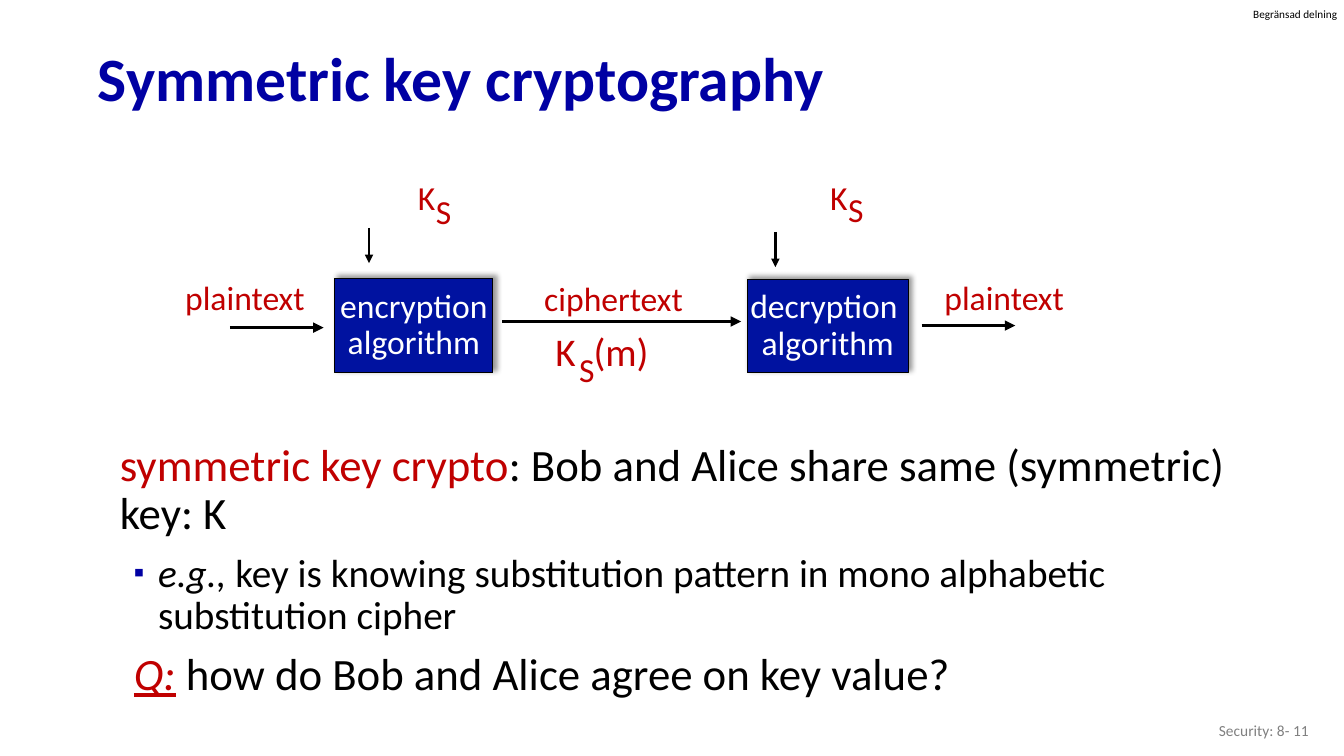
from lxml import etree
from pptx import Presentation
from pptx.dml.color import RGBColor
from pptx.enum.shapes import MSO_CONNECTOR, MSO_SHAPE
from pptx.enum.text import MSO_ANCHOR, PP_ALIGN
from pptx.oxml.ns import qn
from pptx.util import Inches, Pt

LEFT, CENTER, RIGHT = PP_ALIGN.LEFT, PP_ALIGN.CENTER, PP_ALIGN.RIGHT
TOP, MIDDLE = MSO_ANCHOR.TOP, MSO_ANCHOR.MIDDLE
RECT, STRAIGHT = MSO_SHAPE.RECTANGLE, MSO_CONNECTOR.STRAIGHT
FONT = "Calibri"
COLORS = {"title": "0000A3", "red": "C00000", "box": "0012A0",
          "black": "000000", "white": "FFFFFF", "gray": "808080"}


def rgb(name):
    """Return the named palette colour."""
    return RGBColor.from_string(COLORS[name])


def sub(parent, tag, **attrs):
    """Append a DrawingML element with the given attributes."""
    return etree.SubElement(parent, qn(tag), {k: str(v) for k, v in attrs.items()})


def add_run(p, text, size, color, bold=False, italic=False, underline=False):
    """Add one formatted run to a paragraph."""
    r = p.add_run()
    r.text = text
    font = r.font
    font.name, font.size = FONT, Pt(size)
    font.bold, font.italic, font.underline = bold, italic, underline
    font.color.rgb = rgb(color)


def set_margins(tf, margin):
    """Give a text frame the same inset on every side."""
    tf.margin_left = tf.margin_right = tf.margin_top = tf.margin_bottom = Inches(margin)


def add_label(s, box, text, size=24, color="red", align=CENTER, anchor=TOP, filled=False):
    """Place a one-line label in the given box."""
    sp = s.shapes.add_textbox(*map(Inches, box))
    if filled:
        sp.fill.solid()
        sp.fill.fore_color.rgb = rgb("white")
    tf = sp.text_frame
    tf.word_wrap = False
    tf.vertical_anchor = anchor
    p = tf.paragraphs[0]
    p.alignment = align
    add_run(p, text, size, color)
    return sp


def add_key(s, left, top, drop):
    """Place the key symbol K with its lowered S."""
    add_label(s, (left, top, 0.38, 0.51), "K", filled=True)
    add_label(s, (left + 0.18, top + drop, 0.36, 0.51), "S")


def add_algorithm(s, box, lines):
    """Place a shadowed algorithm box with its lines of text."""
    sp = s.shapes.add_shape(RECT, *map(Inches, box))
    sp.fill.solid()
    sp.fill.fore_color.rgb = rgb("box")
    sp.line.color.rgb = rgb("black")
    sp.line.width = Pt(0.75)
    sp.shadow.inherit = False
    effects = sp._element.spPr.find(qn("a:effectLst"))
    shadow = sub(effects, "a:outerShdw", blurRad=Pt(4), dist=Pt(3), dir=315 * 60000,
                 algn="bl", rotWithShape=0)
    sub(sub(shadow, "a:srgbClr", val=COLORS["black"]), "a:alpha", val=40000)
    tf = sp.text_frame
    tf.word_wrap = False
    tf.vertical_anchor = MIDDLE
    set_margins(tf, 0)
    for i, line in enumerate(lines):
        p = tf.add_paragraph() if i else tf.paragraphs[0]
        p.alignment = CENTER
        p.line_spacing = 0.9
        add_run(p, line, 24, "white")


def add_arrow(s, x, y, dx, dy, width):
    """Draw an arrow from a point along the given offset."""
    cx = s.shapes.add_connector(STRAIGHT, *map(Inches, (x, y, x + dx, y + dy)))
    cx.line.color.rgb = rgb("black")
    cx.line.width = Pt(width)
    sub(cx.line._get_or_add_ln(), "a:tailEnd", type="triangle")
    sub(cx._element.spPr, "a:effectLst")


def add_title(s, box):
    """Place and format the slide title."""
    sp = s.shapes.title
    sp.left, sp.top, sp.width, sp.height = map(Inches, box)
    tf = sp.text_frame
    tf.vertical_anchor = MIDDLE
    p = tf.paragraphs[0]
    p.alignment = LEFT
    p.line_spacing = 0.9
    add_run(p, "Symmetric key cryptography", 44, "title", bold=True)


def add_diagram(s, left, top):
    """Draw the flow from plaintext through ciphertext and back."""
    for dx in (0, 7.53):
        add_label(s, (left + dx, top + 0.99, 1.4, 0.51), "plaintext", filled=True)
    add_key(s, left + 2.31, top, 0.13)
    add_key(s, left + 6.4, top, 0.11)
    add_algorithm(s, (left + 1.59, top + 1.05, 1.57, 0.94), ("encryption", "algorithm"))
    add_algorithm(s, (left + 5.68, top + 1.06, 1.6, 0.93), ("decryption ", "algorithm"))
    for x, y in ((1.93, 0.55), (5.96, 0.59)):
        add_arrow(s, left + x, top + y, 0, 0.35, 2)
    for x, y, length in ((0.55, 1.54, 0.93), (3.25, 1.48, 2.37), (7.41, 1.52, 0.93)):
        add_arrow(s, left + x, top + y, length, 0, 2.5)
    add_label(s, (left + 3.56, top + 1, 1.59, 0.51), "ciphertext")
    add_label(s, (left + 3.67, top + 1.49, 0.42, 0.57), "K", 28)
    add_label(s, (left + 3.93, top + 1.49, 1, 0.57), "(m)", 28)
    add_label(s, (left + 3.91, top + 1.7, 0.36, 0.5), "S")


def add_body(s, box):
    """Place the explanation, its example and the question."""
    paragraphs = (
        (0.01, 0, None, (("symmetric key crypto", 32, "red"),
                         (": Bob and Alice share same (symmetric) key: K", 32, "black"))),
        (0.39, -0.24, "▪", (
            ("e.g., ", 28, "black", False, True),
            ("key is knowing substitution pattern in mono alphabetic substitution cipher",
             28, "black"))),
        (0.39, -0.24, None, (("Q:", 32, "red", False, True, True),
                             (" how do Bob and Alice agree on key value?", 32, "black"))),
    )
    tf = s.shapes.add_textbox(*map(Inches, box)).text_frame
    tf.word_wrap = True
    for i, (margin, indent, bullet, runs) in enumerate(paragraphs):
        p = tf.add_paragraph() if i else tf.paragraphs[0]
        p.line_spacing = 0.9
        if i:
            p.space_before = Pt(10)
        pPr = p._p.get_or_add_pPr()
        pPr.set("marL", str(Inches(margin)))
        pPr.set("indent", str(Inches(indent)))
        if bullet:
            sub(sub(pPr, "a:buClr"), "a:srgbClr", val=COLORS["title"])
            sub(pPr, "a:buSzPct", val=75000)
            sub(pPr, "a:buFont", typeface=FONT)
            sub(pPr, "a:buChar", char=bullet)
        else:
            sub(pPr, "a:buNone")
        for run in runs:
            add_run(p, *run)


def add_marks(s):
    """Place the sharing notice and the page mark."""
    notice = add_label(s, (12.43, 0.07, 0.86, 0.13), "Begränsad delning", 8, "black", LEFT)
    set_margins(notice.text_frame, 0)
    add_label(s, (10.08, 7.05, 3, 0.4), "Security: 8- 11", 11, "gray", RIGHT, MIDDLE
              ).text_frame.word_wrap = True


def main():
    """Build the slide and save it."""
    prs = Presentation()
    prs.slide_width, prs.slide_height = Inches(13.33), Inches(7.5)
    s = prs.slides.add_slide(prs.slide_layouts[5])
    add_title(s, (0.87, 0.32, 11.5, 0.98))
    add_diagram(s, 1.73, 1.71)
    add_body(s, (1.08, 4.34, 11.53, 2.66))
    add_marks(s)
    prs.save("out.pptx")


if __name__ == "__main__":
    main()
